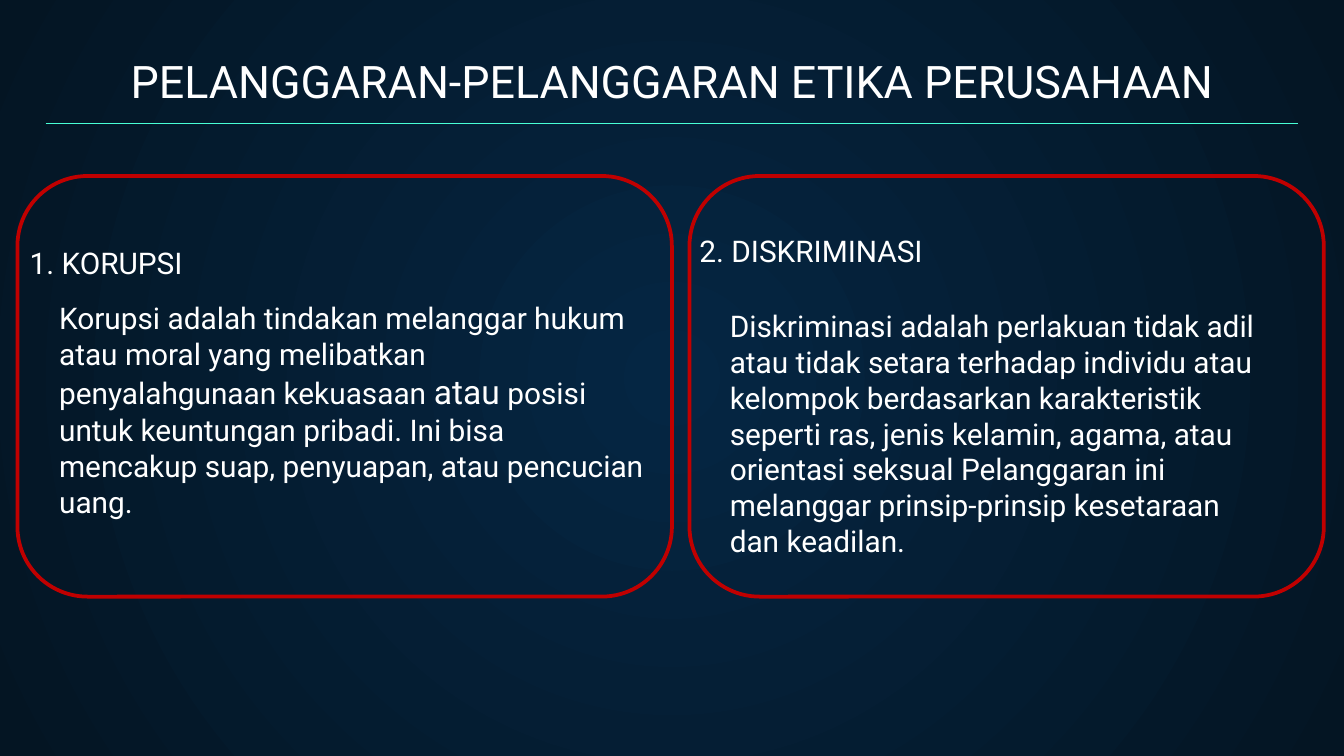
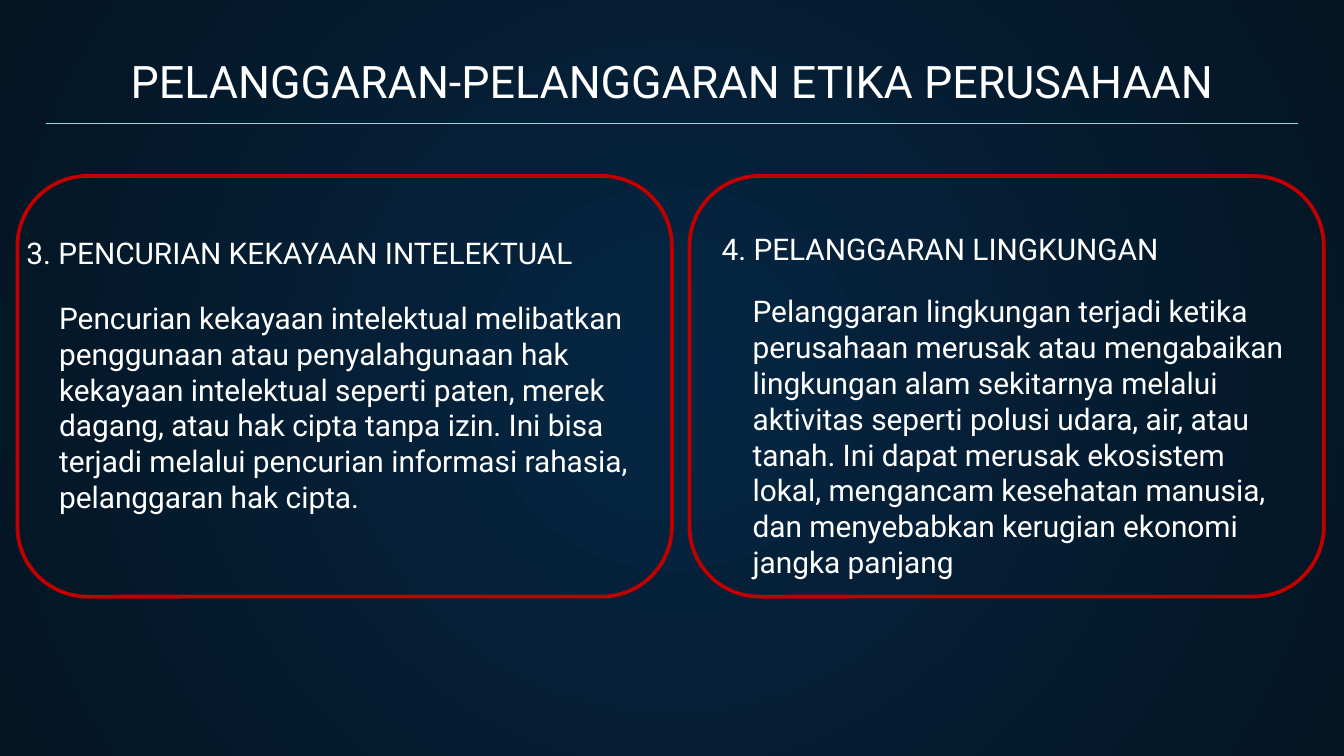
"""Build two slides on breaches of company ethics."""
import pptx
import pptx.util
import pptx.dml.color
import pptx.enum.shapes
import pptx.enum.text
import pptx.oxml
import pptx.oxml.ns

Inches, Pt = pptx.util.Inches, pptx.util.Pt
RGB = pptx.dml.color.RGBColor
ALIGN = pptx.enum.text.PP_ALIGN
ANCHOR = pptx.enum.text.MSO_ANCHOR

WHITE = RGB(0xFF, 0xFF, 0xFF)
RED = RGB(0xC0, 0x00, 0x00)
MINT = RGB(0x48, 0xFF, 0xD5)
NAVY = RGB(0x05, 0x26, 0x43)
NIGHT = RGB(0x04, 0x15, 0x23)
FONT = "Roboto"

TITLE = "PELANGGARAN-PELANGGARAN ETIKA PERUSAHAAN"
EDGE, WIDE, RULE = 0.34, 9.32, 0.92
CARDS = [(0.13, 1.31, 4.87, 3.13), (5.13, 1.31, 4.72, 3.13)]
INDENTS = [0, 0.5]

SLIDES = [
    [
        {
            "head": "1. KORUPSI",
            "spot": (-1.59, 1.56, 4.76, 0.63),
            "body": [
                ("Korupsi adalah tindakan melanggar hukum atau moral yang "
                 "melibatkan penyalahgunaan kekuasaan ", 16),
                ("atau", 18),
                (" posisi untuk keuntungan pribadi. Ini bisa mencakup suap, "
                 "penyuapan, atau pencucian uang.", 16),
            ],
            "area": (0.34, 2.13, 4.56, 3.17),
        },
        {
            "head": "2. DISKRIMINASI",
            "spot": (4.9, 1.89, 2.27, 0.21),
            "body": [
                ("Diskriminasi adalah perlakuan tidak adil atau tidak setara "
                 "terhadap individu atau kelompok berdasarkan karakteristik "
                 "seperti ras, jenis kelamin, agama, atau orientasi seksual "
                 "Pelanggaran ini melanggar prinsip-prinsip kesetaraan dan "
                 "keadilan.", 16),
            ],
            "area": (4.83, 2.19, 4.69, 2.09),
        },
    ],
    [
        {
            "head": "3. PENCURIAN KEKAYAAN INTELEKTUAL",
            "spot": (-0.15, 1.58, 4.76, 0.53),
            "body": [
                ("Pencurian kekayaan intelektual melibatkan penggunaan atau "
                 "penyalahgunaan hak kekayaan intelektual seperti paten, merek "
                 "dagang, atau hak cipta tanpa izin. Ini bisa terjadi melalui "
                 "pencurian informasi rahasia, pelanggaran hak cipta.", 16),
            ],
            "area": (0.34, 2.13, 4.56, 3.17),
        },
        {
            "head": "4. PELANGGARAN LINGKUNGAN",
            "spot": (4.9, 1.69, 4.19, 0.39),
            "body": [
                ("Pelanggaran lingkungan terjadi ketika perusahaan merusak atau "
                 "mengabaikan lingkungan alam sekitarnya melalui aktivitas "
                 "seperti polusi udara, air, atau tanah. Ini dapat merusak "
                 "ekosistem lokal, mengancam kesehatan manusia, dan menyebabkan "
                 "kerugian ekonomi jangka panjang", 16),
            ],
            "area": (5, 2.08, 4.69, 2.17),
        },
    ],
]


def paint(master):
    fill = master.background.fill
    fill.gradient()
    for stop, color, place in zip(fill.gradient_stops, (NAVY, NIGHT), (0, 1)):
        stop.color.rgb = color
        stop.position = place
    lin = master.element.find(".//" + pptx.oxml.ns.qn("a:lin"))
    lin.getparent().replace(lin, pptx.oxml.parse_xml(
        f'<a:path {pptx.oxml.ns.nsdecls("a")} path="circle">'
        '<a:fillToRect l="50000" t="50000" r="50000" b="50000"/></a:path>'))


def write(holder, box, parts, anchor, align, indent=0):
    holder.left, holder.top, holder.width, holder.height = map(Inches, box)
    frame = holder.text_frame
    frame.word_wrap = True
    frame.auto_size = pptx.enum.text.MSO_AUTO_SIZE.NONE
    frame.vertical_anchor = anchor
    frame.margin_left = frame.margin_right = Inches(0.1)
    frame.margin_top = frame.margin_bottom = Inches(0.1)
    para = frame.paragraphs[0]
    para.alignment = align
    para.space_before = Pt(0)
    props = para._p.get_or_add_pPr()
    props.set("marL", str(Inches(indent)))
    props.set("indent", "0")
    props.append(props.makeelement(pptx.oxml.ns.qn("a:buNone"), {}))
    for text, size in parts:
        run = para.add_run()
        run.text = text
        run.font.name = FONT
        run.font.size = Pt(size)
        run.font.bold = False
        run.font.color.rgb = WHITE


def rule(slide):
    line = slide.shapes.add_connector(
        pptx.enum.shapes.MSO_CONNECTOR.STRAIGHT,
        *map(Inches, (EDGE, RULE, EDGE + WIDE, RULE)))
    line.line.color.rgb = MINT
    line.line.width = Pt(0.75)
    props = line._element.spPr
    props.append(props.makeelement(pptx.oxml.ns.qn("a:effectLst"), {}))


def frame_card(slide, box):
    card = slide.shapes.add_shape(
        pptx.enum.shapes.MSO_SHAPE.ROUNDED_RECTANGLE, *map(Inches, box))
    card.shadow.inherit = False
    card.fill.background()
    card.line.color.rgb = RED
    card.line.width = Pt(2)


def build(deck, topics):
    slide = deck.slides.add_slide(deck.slide_layouts.get_by_name("Comparison"))
    title, *rest = list(slide.placeholders)[:5]
    write(title, (EDGE, 0.37, WIDE, 0.53), [(TITLE, 24)],
          ANCHOR.BOTTOM, ALIGN.CENTER)
    pairs = zip(rest[::2], rest[1::2])
    for topic, (head, body), indent in zip(topics, pairs, INDENTS):
        write(head, topic["spot"], [(topic["head"], 16)],
              ANCHOR.BOTTOM, ALIGN.CENTER)
        write(body, topic["area"], topic["body"],
              ANCHOR.TOP, ALIGN.LEFT, indent)
    rule(slide)
    for box in CARDS:
        frame_card(slide, box)


def main():
    deck = pptx.Presentation()
    deck.slide_width = Inches(10)
    deck.slide_height = deck.slide_width * 9 // 16
    paint(deck.slide_master)
    for topics in SLIDES:
        build(deck, topics)
    deck.save("out.pptx")


if __name__ == "__main__":
    main()
